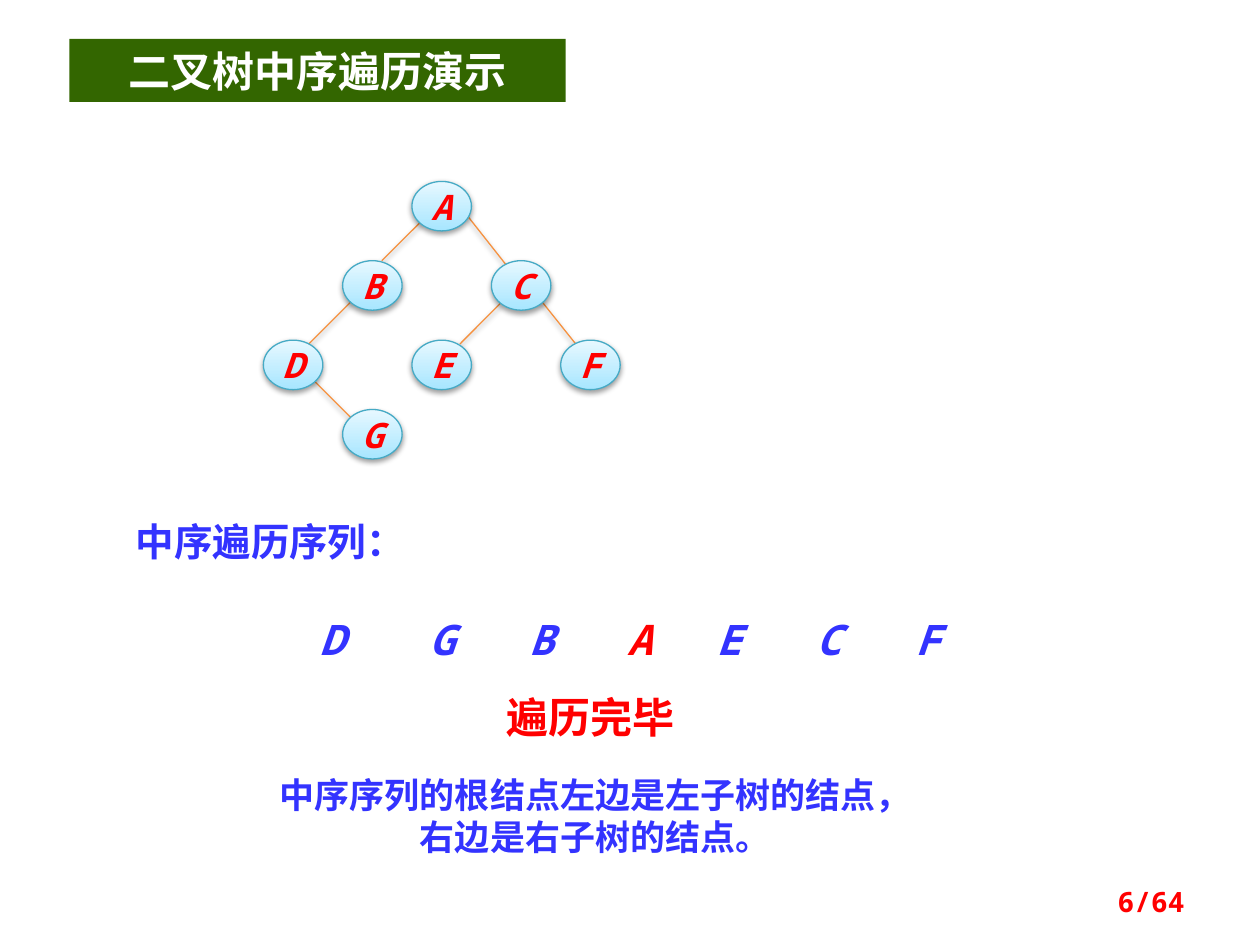
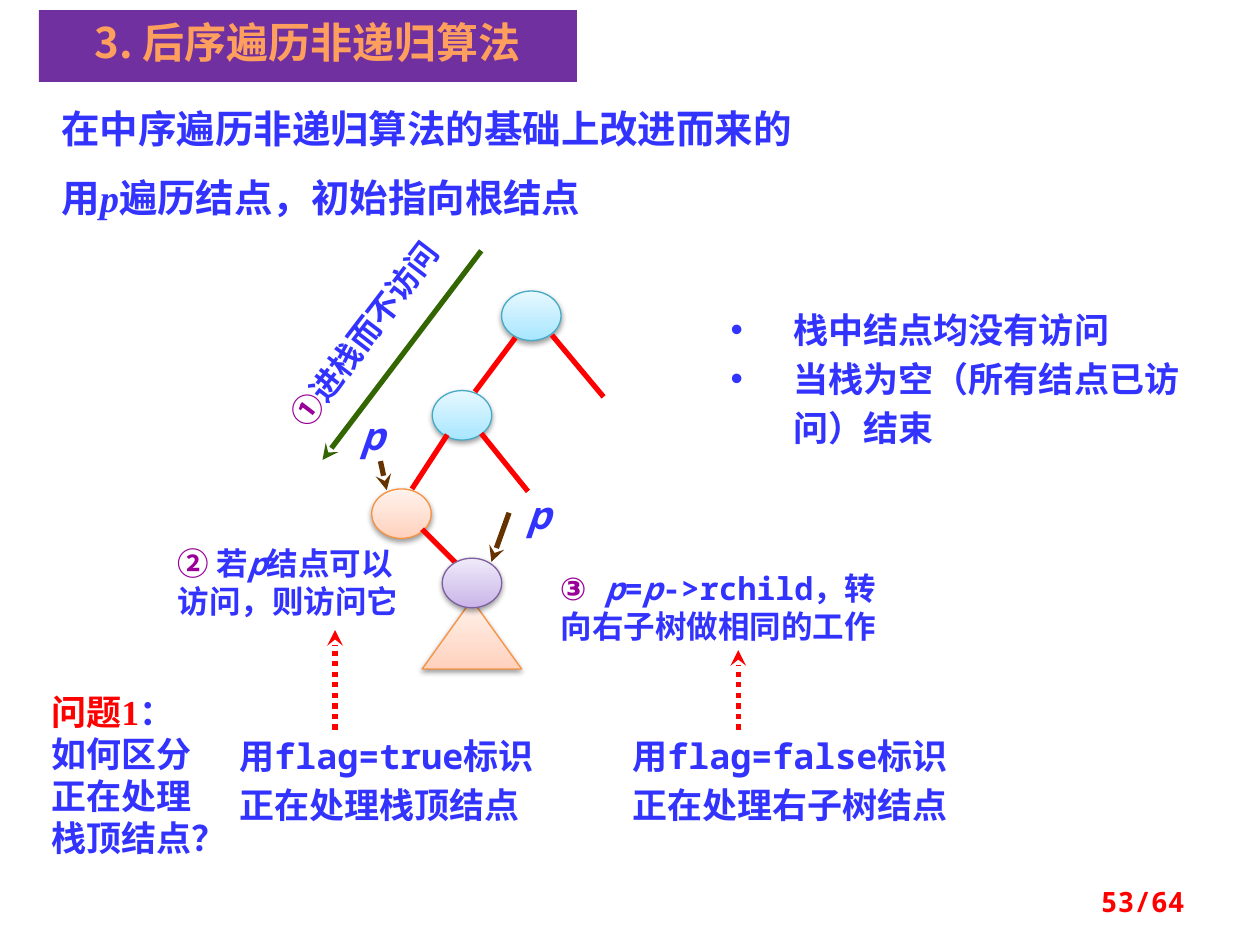
"""Build two slides on inorder and postorder traversal of binary trees."""
from pptx import Presentation
from pptx import util as u
from pptx import oxml
from pptx.dml import color as c
from pptx.enum import dml, shapes, text
from pptx.oxml import ns

Pt = u.Pt
rgb = c.RGBColor.from_string
BLUE, RED, PURPLE = "3333FF", "FF0000", "990099"
GREEN, BROWN, ORANGE, WHITE = "336600", "663300", "F69240", "FFFFFF"
AQUA_NODE = ("A7E6FF", "E7F8FF", "46AAC5")
PEACH_NODE = ("FFD2BD", "FFF2ED", ORANGE)
LILAC_NODE = ("C9B5E8", "F0EAF9", "7D60A0")
MONO, SANS, SERIF = "Noto Sans Mono", "Noto Sans CJK SC", "Times New Roman"
LEFT, CENTER, RIGHT = text.PP_ALIGN.LEFT, text.PP_ALIGN.CENTER, text.PP_ALIGN.RIGHT
MIDDLE = text.MSO_ANCHOR.MIDDLE
OVAL, RECT = shapes.MSO_SHAPE.OVAL, shapes.MSO_SHAPE.RECTANGLE
NODE = (34, 28.3)
A_NS = ns.nsdecls("a")
NO_EFFECT = f"<a:effectLst {A_NS}/>"
SHADOW = (f'<a:effectLst {A_NS}><a:outerShdw blurRad="40000" dist="20000" dir="5400000" '
          'rotWithShape="0"><a:srgbClr val="000000"><a:alpha val="38000"/></a:srgbClr>'
          '</a:outerShdw></a:effectLst>')


def draw(page, frame, kind=None, palette=()):
    lengths = [Pt(value) for value in frame]
    if kind is None:
        return page.shapes.add_textbox(*lengths)
    shape = page.shapes.add_shape(kind, *lengths)
    if len(palette) == 1:
        shape.fill.solid()
        shape.fill.fore_color.rgb = rgb(palette[0])
        shape.line.fill.background()
        shape.shadow.inherit = False
        return shape
    shape.fill.gradient()
    shape.fill.gradient_angle = 90
    for stop, tint in zip(shape.fill.gradient_stops, palette):
        stop.color.rgb = rgb(tint)
    shape.line.color.rgb = rgb(palette[2])
    shape.line.width = Pt(0.75)
    shape._element.spPr.append(oxml.parse_xml(SHADOW))
    return shape


def write(box, paragraphs, size, color=BLUE, font=MONO, align=LEFT, inset=True,
          italic=False, spacing=None, before=0):
    frame = box.text_frame
    frame.word_wrap = True
    frame.vertical_anchor = text.MSO_ANCHOR.TOP
    if not inset:
        frame.margin_left = frame.margin_right = frame.margin_top = frame.margin_bottom = 0
    for index, spans in enumerate(paragraphs):
        para = frame.add_paragraph() if index else frame.paragraphs[0]
        para.alignment = align
        if spacing:
            para.line_spacing = Pt(spacing)
        if index and before:
            para.space_before = Pt(before)
        for span in [(spans, color, italic)] if isinstance(spans, str) else spans:
            run = para.add_run()
            run.text, tint, run.font.italic = span
            run.font.size, run.font.bold, run.font.name = Pt(size), True, font
            run.font.color.rgb = rgb(tint)
            run._r.get_or_add_rPr().append(
                oxml.parse_xml(f'<a:ea {A_NS} typeface="{SANS}"/>'))
    return frame


deck = Presentation()
deck.slide_width, deck.slide_height = Pt(720), Pt(540)
inorder, postorder = [deck.slides.add_slide(deck.slide_layouts[6]) for _ in range(2)]

for page, frame, fill, title, color, number in [
    (inorder, (39.6, 22.3, 283.7, 36), GREEN, "二叉树中序遍历演示", WHITE, "6/64"),
    (postorder, (22.3, 5.8, 307.4, 41), "7030A0", "3. 后序遍历非递归算法", "FF9F5D", "53/64"),
]:
    write(draw(page, frame, RECT, (fill,)), [title], 24, color, SANS, CENTER)
    footer = write(draw(page, (516.2, 500.4, 167.8, 28.8)), [number], 16, RED, align=RIGHT)
    footer.vertical_anchor = MIDDLE

for x, y, palette in [(286.6, 166.3, AQUA_NODE), (247, 223.2, AQUA_NODE),
                      (212.4, 279.4, PEACH_NODE)]:
    draw(postorder, (x, y, *NODE), OVAL, palette)

tree_edges = [
    (178.6, 216.7, 201.6, 239.8), (241.2, 126, 218.2, 149), (266.4, 122.4, 290.2, 152.6),
    (201.6, 171.4, 172.8, 200.2), (285.8, 173.5, 262.8, 196.6), (308.9, 171.4, 331.9, 200.2),
]
branches = [
    (294.5, 193, 271.4, 223.9), (255.6, 248.4, 235.4, 279.4), (315.4, 191.5, 344.9, 226.8),
    (241.2, 302.4, 269.3, 330.5), (275, 247.7, 301.7, 280.8),
]
pointers = [(217.4, 263.5, 221, 280.1), (290.9, 293, 280.8, 321.1)]
push_path = [(275, 143.3, 184.3, 262.8)]
flag_arrows = [(191.5, 416.9, 191.5, 360), (421.9, 416.9, 421.9, 371.5)]

for page, lines, color, width, arrow, dotted, effect in [
    (inorder, tree_edges, ORANGE, 0.75, False, False, SHADOW),
    (postorder, branches, RED, 3, False, False, NO_EFFECT),
    (postorder, pointers, BROWN, 3, True, False, NO_EFFECT),
    (postorder, push_path, GREEN, 3, True, False, NO_EFFECT),
    (postorder, flag_arrows, RED, 3, True, True, NO_EFFECT),
]:
    for ends in lines:
        line = page.shapes.add_connector(shapes.MSO_CONNECTOR.STRAIGHT,
                                         *[Pt(value) for value in ends])
        line.line.color.rgb = rgb(color)
        line.line.width = Pt(width)
        if dotted:
            line.line.dash_style = dml.MSO_LINE.ROUND_DOT
        properties = line._element.spPr
        if arrow:
            properties.find(ns.qn("a:ln")).append(
                oxml.parse_xml(f'<a:tailEnd {A_NS} type="stealth"/>'))
        properties.append(oxml.parse_xml(effect))

for letter, x, y in [("A", 235.4, 103.7), ("B", 195.8, 149), ("C", 280.8, 149),
                     ("D", 150.5, 194.4), ("E", 235.4, 194.4), ("F", 320.4, 194.4),
                     ("G", 195.8, 234)]:
    node = draw(inorder, (x, y, *NODE), OVAL, AQUA_NODE)
    label = write(node, [letter], 20, RED, align=CENTER, italic=True)
    label.word_wrap = False
    label.vertical_anchor = MIDDLE

for letter, x in zip("DGBAECF", (161.3, 224, 280.8, 337, 388, 445, 501.8)):
    write(draw(inorder, (x, 347, 57, 36)), [letter], 24, RED if letter == "A" else BLUE,
          align=CENTER, italic=True)

write(draw(inorder, (70.5, 292.3, 204.5, 33.8)), ["中序遍历序列："], 22)
write(draw(inorder, (241.2, 391.7, 193, 36)), ["遍历完毕"], 24, RED, align=CENTER)
write(draw(inorder, (146.2, 438.5, 388, 55.4)),
      ["中序序列的根结点左边是左子树的结点，", "右边是右子树的结点。"],
      20, font=SANS, align=CENTER)

draw(postorder, (241.2, 342.7, 56.9, 39.6), shapes.MSO_SHAPE.ISOSCELES_TRIANGLE, PEACH_NODE)
draw(postorder, (252.7, 319, *NODE), OVAL, LILAC_NODE)

write(draw(postorder, (28.1, 56.2, 499, 33.8)),
      ["在中序遍历非递归算法的基础上改进而来的"], 22, font=SANS)
write(draw(postorder, (28.1, 95.8, 360, 33.8)),
      [[("用", BLUE, False), ("p", BLUE, True), ("遍历结点，初始指向根结点", BLUE, False)]],
      22, font=SERIF)

for x, y in [(201.6, 235.4), (296.6, 280.8)]:
    write(draw(postorder, (x, y, 22.3, 26.6)), ["p"], 22, align=CENTER, inset=False, italic=True)

push_label = draw(postorder, (105.8, 176.4, 204.5, 28.8))
push_label.rotation = 307.4
write(push_label, [[("①", PURPLE, False), ("进栈而不访问", BLUE, False)]],
      18, font=SERIF, align=CENTER)
write(draw(postorder, (101.5, 311, 135.4, 44)),
      [[("② ", PURPLE, False), ("若", BLUE, False), ("p", BLUE, True),
        ("结点可以访问，则访问它", BLUE, False)]], 18, inset=False)
write(draw(postorder, (314.6, 325.4, 191.5, 44)),
      [[("③ ", PURPLE, False), ("p", BLUE, True), ("=", BLUE, False), ("p", BLUE, True),
        ("->rchild，转向右子树做相同的工作", BLUE, False)]], 18, align=CENTER, inset=False)

notes = write(draw(postorder, (410.4, 168.5, 286.6, 92)),
              ["栈中结点均没有访问", "当栈为空（所有结点已访问）结束"],
              20, font=SERIF, spacing=28)
for para in notes.paragraphs:
    properties = para._p.get_or_add_pPr()
    properties.set("marL", str(Pt(36)))
    properties.set("indent", str(-Pt(36)))
    properties.append(oxml.parse_xml(f'<a:buFont {A_NS} typeface="Arial"/>'))
    properties.append(oxml.parse_xml(f'<a:buChar {A_NS} char="•"/>'))

for x, width, flag, target in [(129.6, 202.3, "true", "栈顶结点"),
                               (354.2, 225.4, "false", "右子树结点")]:
    write(draw(postorder, (x, 422, width, 57.6)),
          [f"用flag={flag}标识", f"正在处理{target}"], 20, spacing=18, before=10)

write(draw(postorder, (22.3, 391, 106.6, 104.4)),
      [[("问题1", RED, False), ("：", BLUE, False)], "如何区分正在处理栈顶结点？"],
      20, font=SERIF)

deck.save("out.pptx")
